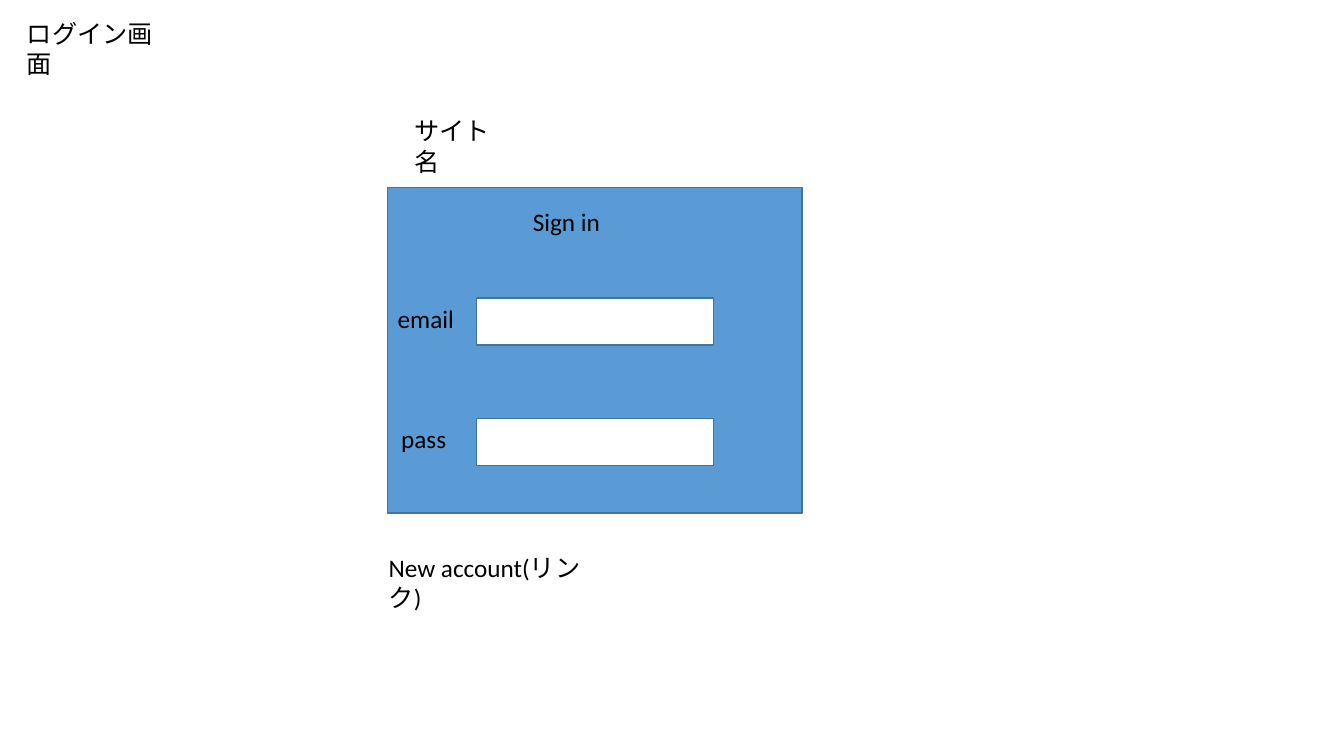
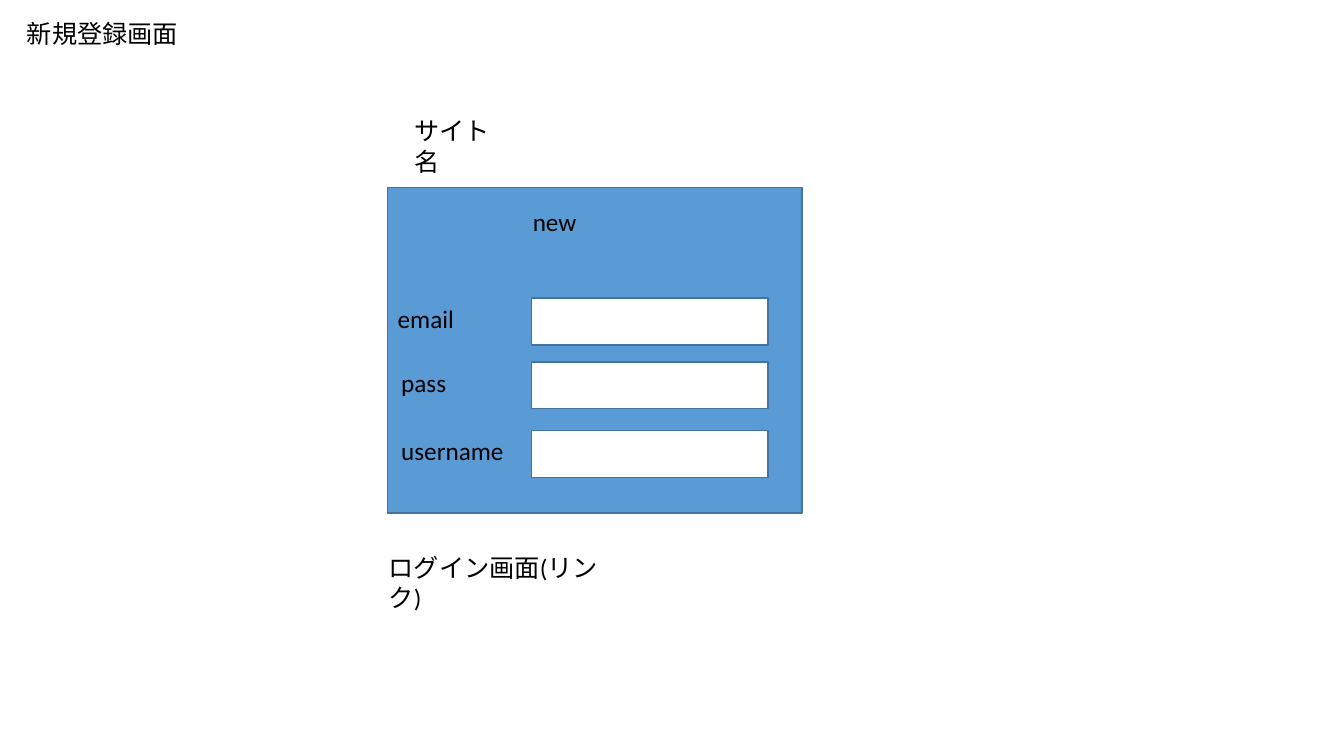
from pptx import Presentation
from pptx.dml.color import RGBColor
from pptx.enum import shapes, text
from pptx.util import Pt

BLUE = RGBColor(0x5B, 0x9B, 0xD5)
DARK_BLUE = RGBColor(0x43, 0x73, 0x9E)
WHITE = RGBColor(0xFF, 0xFF, 0xFF)
BLACK = RGBColor(0, 0, 0)

TEXT_HEIGHT = 29
PANEL_LEFT, PANEL_TOP, PANEL_WIDTH, PANEL_HEIGHT = 277, 134, 296, 232.5
FIELD_WIDTH, FIELD_HEIGHT = 169, 33.5


class Wireframe:
    """Draws login form mock-ups in one shared style."""

    def __init__(self):
        self.presentation = Presentation()
        self.presentation.slide_width = Pt(960)
        self.presentation.slide_height = Pt(540)
        self.slide = None

    def set_text(self, shape, words):
        """Fill a shape with plain left-aligned text."""
        frame = shape.text_frame
        frame.text = words
        frame.word_wrap = True
        frame.auto_size = text.MSO_AUTO_SIZE.NONE
        frame.vertical_anchor = text.MSO_ANCHOR.TOP
        paragraph = frame.paragraphs[0]
        paragraph.alignment = text.PP_ALIGN.LEFT
        paragraph.font.name = "Calibri"
        paragraph.font.size = Pt(18)
        paragraph.font.color.rgb = BLACK

    def title(self, words, width):
        """Start a slide with its title in the top left corner."""
        layout = self.presentation.slide_layouts.get_by_name("Title Only")
        self.slide = self.presentation.slides.add_slide(layout)
        title = self.slide.shapes.title
        title.left, title.top = Pt(12), Pt(9.5)
        title.width, title.height = Pt(width), Pt(TEXT_HEIGHT)
        self.set_text(title, words)

    def label(self, words, left, top, width):
        """Add a text box."""
        box = self.slide.shapes.add_textbox(
            Pt(left), Pt(top), Pt(width), Pt(TEXT_HEIGHT))
        self.set_text(box, words)

    def rectangle(self, left, top, width, height, fill):
        """Add an outlined rectangle."""
        shape = self.slide.shapes.add_shape(
            shapes.MSO_SHAPE.RECTANGLE, Pt(left), Pt(top), Pt(width), Pt(height))
        shape.shadow.inherit = False
        shape.fill.solid()
        shape.fill.fore_color.rgb = fill
        shape.line.color.rgb = DARK_BLUE
        shape.line.width = Pt(1)

    def field(self, name, label_left, field_left, top):
        """Add an input field with its name on the left."""
        self.rectangle(field_left, top, FIELD_WIDTH, FIELD_HEIGHT, WHITE)
        self.label(name, label_left, top, field_left - label_left)

    def form(self, heading, link, field_left, fields):
        """Add the site name, the form panel with its fields, and the link."""
        self.rectangle(PANEL_LEFT, PANEL_TOP, PANEL_WIDTH, PANEL_HEIGHT, BLUE)
        self.label("サイト名", 289, 79, 85)
        self.label(heading, 373.5, 143.5, 100)
        for name, label_left, top in fields:
            self.field(name, label_left, field_left, top)
        self.label(link, 270.5, 391, 167)


def main():
    wireframe = Wireframe()

    wireframe.title("ログイン画面", 114.5)
    wireframe.form("Sign in", "New account(リンク)", 340.5, [
        ("email", 277, 213),
        ("pass", 279.5, 299),
    ])

    wireframe.title("新規登録画面", 125)
    wireframe.form("new", "ログイン画面(リンク)", 379.5, [
        ("email", 277, 213),
        ("pass", 279.5, 258.5),
        ("username", 279.5, 307.5),
    ])

    wireframe.presentation.save("out.pptx")


if __name__ == "__main__":
    main()
